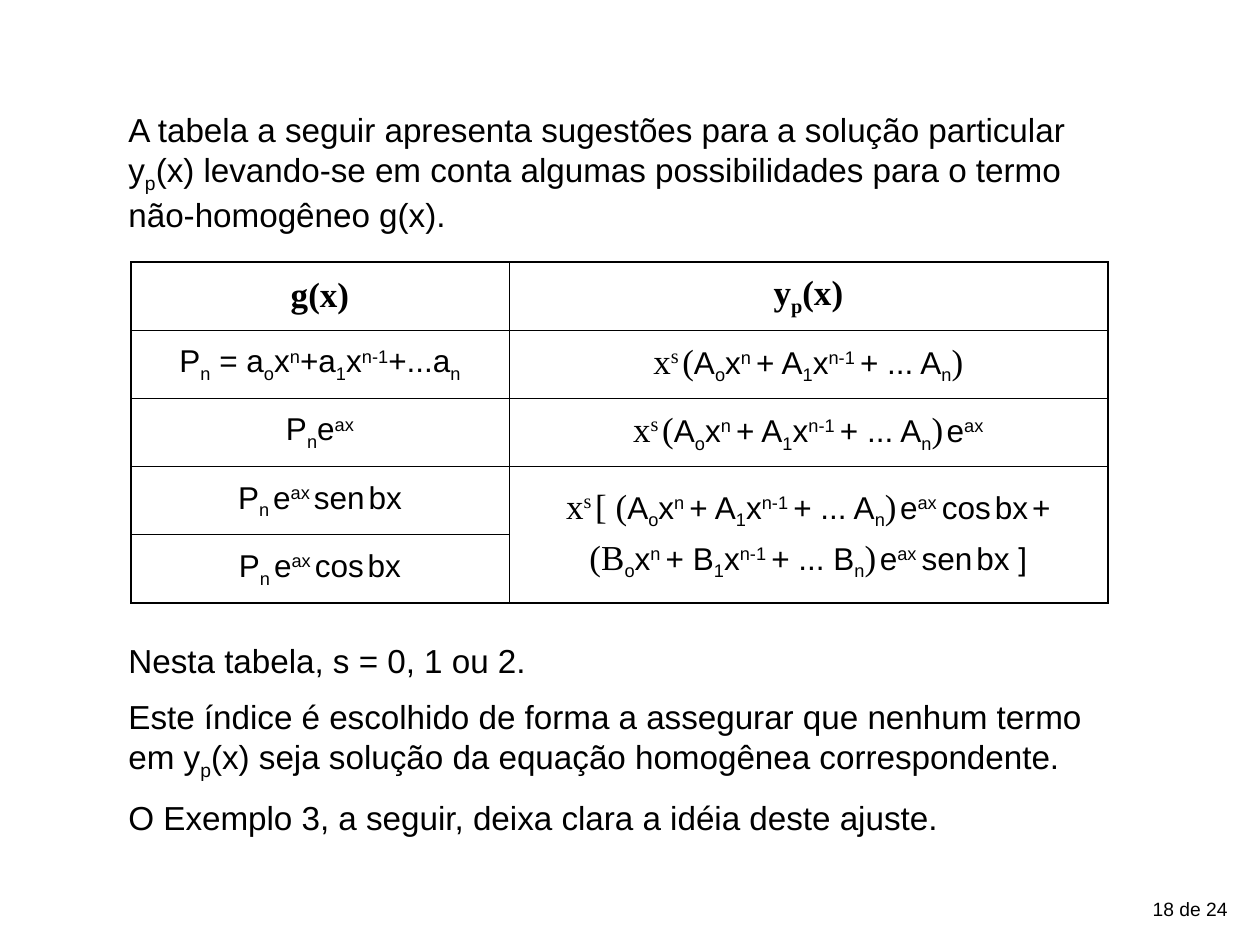
from dataclasses import dataclass, replace
from typing import Any, Optional

from lxml.etree import SubElement
from pptx import Presentation
from pptx.dml.color import RGBColor
from pptx.enum.text import MSO_ANCHOR, PP_ALIGN
from pptx.oxml.ns import qn
from pptx.util import Cm, Pt


@dataclass(frozen=True)
class Theme:
    ink: str = "000000"
    paper: str = "FFFFFF"
    sans: str = "Arial"
    serif: str = "Times New Roman"
    body: float = 19
    formula: float = 18
    symbol: float = 20
    thin: float = 8
    page: float = 11
    outer_line: float = 1.08
    inner_line: float = 0.45


THEME = Theme()
SUBSCRIPT, SUPERSCRIPT = "-25000", "30000"


@dataclass(frozen=True)
class Piece:
    text: str
    size: float = THEME.formula
    font: str = THEME.sans
    bold: bool = False
    baseline: Optional[str] = None


Line = list[Piece]


@dataclass(frozen=True)
class TextBlock:
    left: float
    top: float
    width: float
    height: float
    lines: list[Line]
    align: PP_ALIGN = PP_ALIGN.LEFT
    gap: float = 0


# Building pieces of formulas
def plain(text: str) -> Piece:
    return Piece(text)


def sub(text: str) -> Piece:
    return Piece(text, baseline=SUBSCRIPT)


def sup(text: str) -> Piece:
    return Piece(text, baseline=SUPERSCRIPT)


def symbol(text: str, baseline: Optional[str] = None) -> Piece:
    return Piece(text, THEME.symbol, THEME.serif, baseline=baseline)


def styled(pieces: Line, **changes: Any) -> Line:
    return [replace(piece, **changes) for piece in pieces]


def body(*pieces: Piece) -> Line:
    return styled(list(pieces), size=THEME.body)


def polynomial(letter: str) -> Line:
    return [sub("o"), plain("x"), sup("n "), plain(f"+ {letter}"), sub("1"),
            plain("x"), sup("n-1 "), plain(f"+ ... {letter}"), sub("n"), symbol(")")]


THIN = Piece(" ", THEME.thin)
SERIF_THIN = replace(THIN, font=THEME.serif)
X_POWER_S = [symbol("x"), symbol("s", SUPERSCRIPT), SERIF_THIN]
A_TERMS = [plain("A"), *polynomial("A")]


def wave_source(function: str) -> Line:
    return [plain("P"), sub("n"), THIN, plain("e"), sup("ax"), THIN,
            plain(function), THIN, plain("bx")]


def wave_factor(function: str, *ending: Piece) -> Line:
    return [SERIF_THIN, plain("e"), sup("ax "), plain(function), THIN, *ending]


# Contents
HEADER = {"size": THEME.symbol, "font": THEME.serif, "bold": True}
ROWS: list[list[list[Line]]] = [
    [[styled([plain("g(x)")], **HEADER)],
     [styled([plain("y"), sub("p"), plain("(x)")], **HEADER)]],
    [[[plain("P"), sub("n"), plain(" = a"), sub("o"), plain("x"), sup("n"), plain("+a"),
       sub("1"), plain("x"), sup("n-1"), plain("+...a"), sub("n")]],
     [[*X_POWER_S, symbol("("), *A_TERMS]]],
    [[[plain("P"), sub("n"), plain("e"), sup("ax")]],
     [[*X_POWER_S, symbol("("), *A_TERMS, SERIF_THIN, plain("e"), sup("ax")]]],
    [[wave_source("sen")],
     [[*X_POWER_S, symbol("[ ("), *A_TERMS,
       *wave_factor("cos", plain("bx"), THIN, plain("+"))],
      [symbol("(B"), *polynomial("B"), *wave_factor("sen", plain("bx ]"))]]],
    [[wave_source("cos")]],
]
COLUMN_WIDTHS = [7.62, 12.07]
ROW_HEIGHT = 1.376

BLOCKS = [
    TextBlock(22.66, 17.96, 2.34, 0.74, [[Piece("18 de 24", THEME.page)]], PP_ALIGN.RIGHT),
    TextBlock(2.34, 2.08, 19.99, 2.79, [
        body(plain("A tabela a seguir apresenta sugestões para a solução particular y"),
             sub("p"),
             plain("(x) levando-se em conta algumas possibilidades para o termo "
                   "não-homogêneo g(x)."))]),
    TextBlock(2.34, 12.78, 19.99, 4.27, [
        body(plain("Nesta tabela, s = 0, 1 ou 2.")),
        body(plain("Este índice é escolhido de forma a assegurar que nenhum termo em y"),
             sub("p"),
             plain("(x) seja solução da equação homogênea correspondente.")),
        body(plain("O Exemplo 3, a seguir, deixa clara a idéia deste ajuste."))], gap=9.2),
]


def apply_format(target: Any, values: dict[str, Any]) -> None:
    for name, value in values.items():
        setattr(target, name, value)


def write_lines(text_frame: Any, lines: list[Line], align: PP_ALIGN, gap: float) -> None:
    for index, line in enumerate(lines):
        paragraph = text_frame.paragraphs[0] if index == 0 else text_frame.add_paragraph()
        apply_format(paragraph, {"alignment": align, "space_before": Pt(gap if index else 0)})
        for piece in line:
            run = paragraph.add_run()
            run.text = piece.text
            apply_format(run.font, {"name": piece.font, "size": Pt(piece.size),
                                    "bold": piece.bold})
            run.font.color.rgb = RGBColor.from_string(THEME.ink)
            if piece.baseline:
                run._r.get_or_add_rPr().set("baseline", piece.baseline)


def draw_text(slide: Any, block: TextBlock) -> None:
    shape = slide.shapes.add_textbox(Cm(block.left), Cm(block.top),
                                     Cm(block.width), Cm(block.height))
    shape.text_frame.word_wrap = True
    write_lines(shape.text_frame, block.lines, block.align, block.gap)


def draw_borders(cell: Any, outer_sides: dict[str, bool]) -> None:
    properties = cell._tc.get_or_add_tcPr()
    for side, is_outer in outer_sides.items():
        width = THEME.outer_line if is_outer else THEME.inner_line
        line = SubElement(properties, qn(f"a:ln{side}"), w=str(int(Pt(width))))
        fill = SubElement(line, qn("a:solidFill"))
        SubElement(fill, qn("a:srgbClr"), val=THEME.ink)


def draw_table(slide: Any, left: float, top: float) -> None:
    frame = slide.shapes.add_table(len(ROWS), len(COLUMN_WIDTHS), Cm(left), Cm(top),
                                   Cm(sum(COLUMN_WIDTHS)), Cm(ROW_HEIGHT * len(ROWS)))
    table = frame.table
    apply_format(table, {"first_row": False, "horz_banding": False})
    for column, width in zip(table.columns, COLUMN_WIDTHS):
        column.width = Cm(width)
    for row in table.rows:
        row.height = Cm(ROW_HEIGHT)
    # The last two rows share one solution
    table.cell(3, 1).merge(table.cell(4, 1))
    for row_index, row_cells in enumerate(ROWS):
        for column_index, lines in enumerate(row_cells):
            cell = table.cell(row_index, column_index)
            draw_borders(cell, {
                "L": column_index == 0,
                "R": column_index == len(COLUMN_WIDTHS) - 1,
                "T": row_index == 0,
                "B": row_index + cell.span_height == len(ROWS)})
            cell.fill.solid()
            cell.fill.fore_color.rgb = RGBColor.from_string(THEME.paper)
            cell.vertical_anchor = MSO_ANCHOR.MIDDLE
            write_lines(cell.text_frame, lines, PP_ALIGN.CENTER, gap=4.5)


def main() -> None:
    presentation = Presentation()
    apply_format(presentation, {"slide_width": Cm(25.4), "slide_height": Cm(19.05)})
    slide = presentation.slides.add_slide(presentation.slide_layouts[6])
    for block in BLOCKS:
        draw_text(slide, block)
    draw_table(slide, 2.64, 5.28)
    presentation.save("out.pptx")


if __name__ == "__main__":
    main()
